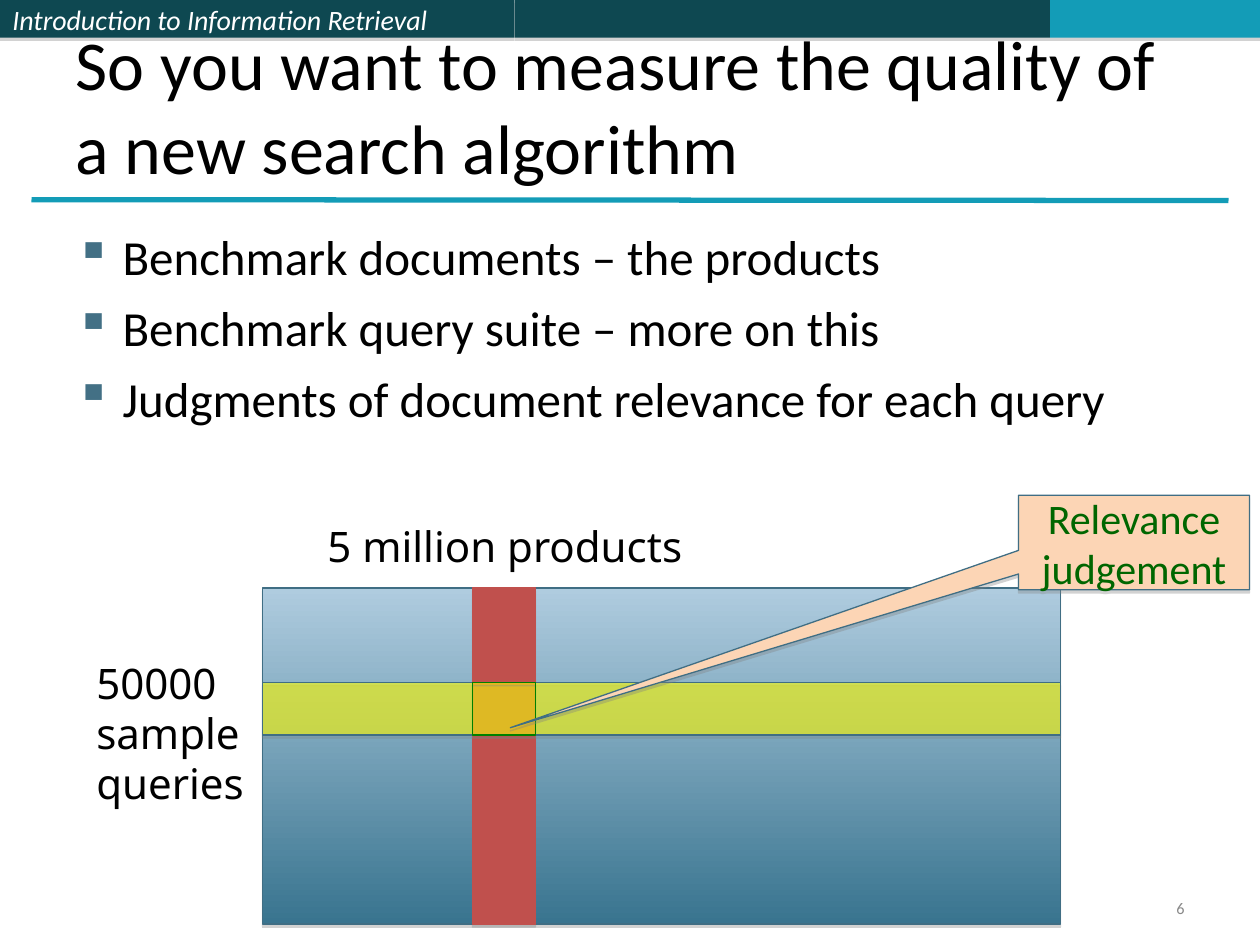
import pptx
import pptx.util
from lxml import etree
from pptx.dml.color import RGBColor
from pptx.enum.shapes import MSO_CONNECTOR, MSO_SHAPE
from pptx.enum.text import MSO_ANCHOR, MSO_AUTO_SIZE, PP_ALIGN
from pptx.oxml import parse_xml
from pptx.oxml.ns import nsdecls, qn

Pt = pptx.util.Pt
COLORS = {
    "dark teal": "0E4851", "teal": "139CB7", "white": "FFFFFF", "black": "000000",
    "bullet": "437085", "grey": "898989", "shadow": "808080", "outline": "406E84",
    "light blue": "AFCCDF", "deep blue": "39748F", "red": "C0504D",
    "yellow": "FFFF00", "green": "008000", "peach": "FCD5B5", "dark green": "006600",
}


def color(name):
    return RGBColor.from_string(COLORS[name])


def apply_format(target, values):
    for name, value in values.items():
        setattr(target, name, value)


def write(shape, lines, size, ink, font="Calibri", italic=False, frame=None, para=None):
    """Fill a shape with one paragraph per line, all in one style."""
    text = shape.text_frame
    apply_format(text, {"word_wrap": True, "auto_size": MSO_AUTO_SIZE.NONE, **(frame or {})})
    text.text = "\n".join(lines)
    for paragraph in text.paragraphs:
        apply_format(paragraph, {"alignment": PP_ALIGN.LEFT, **(para or {})})
        for span in paragraph.runs:
            apply_format(span.font, {"name": font, "size": Pt(size), "italic": italic})
            span.font.color.rgb = color(ink)


def add_text(slide, box, lines, size, ink, **style):
    shape = slide.shapes.add_textbox(*map(Pt, box))
    write(shape, lines, size, ink, **style)
    return shape


def add_block(slide, box, fill=None, line=None, kind=MSO_SHAPE.RECTANGLE):
    """Add a shape with a hard drop shadow; a missing fill or line is left empty."""
    shape = slide.shapes.add_shape(kind, *map(Pt, box))
    if fill:
        shape.fill.solid()
        shape.fill.fore_color.rgb = color(fill)
    else:
        shape.fill.background()
    if line:
        shape.line.color.rgb = color(line)
        shape.line.width = Pt(0.75)
    else:
        shape.line.fill.background()
    shape.shadow.inherit = False
    effects = shape.element.spPr.find(qn("a:effectLst"))
    effects.append(parse_xml(
        f'<a:outerShdw {nsdecls("a")} blurRad="0" dist="{Pt(1.8)}" dir="5400000" rotWithShape="0">'
        f'<a:srgbClr val="{COLORS["shadow"]}"><a:alpha val="35000"/></a:srgbClr></a:outerShdw>'))
    return shape


def add_header(slide, box, course):
    left, top, width, height = box
    bands = [(294, "dark teal"), (306, "dark teal"), (width - 600, "teal")]
    blocks = []
    for band_width, fill in bands:
        blocks.append(add_block(slide, (left, top, band_width, height), fill))
        left += band_width
    write(blocks[0], [course], 16, "white", italic=True,
          frame={"vertical_anchor": MSO_ANCHOR.MIDDLE})


def add_title(slide, box, title):
    left, top, width, height = box
    shape = slide.shapes.title
    apply_format(shape, {"left": Pt(left), "top": Pt(top), "width": Pt(width), "height": Pt(height)})
    write(shape, [title], 40, "black", frame={"vertical_anchor": MSO_ANCHOR.BOTTOM})
    rule_y = top + height + 2.5
    rule = slide.shapes.add_connector(
        MSO_CONNECTOR.STRAIGHT, Pt(left - 18), Pt(rule_y), Pt(left + width), Pt(rule_y + 0.5))
    rule.end_x = Pt(left + width + 18)
    rule.line.color.rgb = color("teal")
    rule.line.width = Pt(3)
    etree.SubElement(rule.element.spPr, qn("a:effectLst"))


def add_bullets(slide, box, lines):
    shape = add_text(slide, box, lines, 28, "black", para={"space_before": Pt(7)})
    for paragraph in shape.text_frame.paragraphs:
        properties = paragraph._p.get_or_add_pPr()
        properties.set("marL", str(Pt(27)))
        properties.set("indent", str(Pt(-27)))
        bullet_color = etree.SubElement(properties, qn("a:buClr"))
        etree.SubElement(bullet_color, qn("a:srgbClr"), val=COLORS["bullet"])
        etree.SubElement(properties, qn("a:buChar"), char="▪")


def add_matrix(slide, box):
    """Draw the query by product matrix with one column, one row and their cell marked."""
    left, top, width, height = box
    column_left, column_width = left + 120, 36
    row_top, row_height = top + 54, 30

    matrix = add_block(slide, box, "light blue", "outline")
    matrix.fill.gradient()
    matrix.fill.gradient_angle = 270
    for stop, name in zip(matrix.fill.gradient_stops, ("light blue", "deep blue")):
        stop.color.rgb = color(name)

    add_block(slide, (column_left, top, column_width, height), "red", "red")
    row = add_block(slide, (left, row_top, width, row_height), "yellow", "outline")
    row_color = row.element.spPr.find(qn("a:solidFill")).find(qn("a:srgbClr"))
    etree.SubElement(row_color, qn("a:alpha"), val="58000")
    add_block(slide, (column_left, row_top, column_width, row_height), line="green")

    labels = [((left + 30, top - 42, 217.5, 36), ["5 million products"]),
              ((left - 102, top + 36, 102, 93.5), ["50000", "sample", "queries"])]
    for label_box, lines in labels:
        add_text(slide, label_box, lines, 24, "black", font="Noto Sans",
                 frame={"word_wrap": False})


def add_callout(slide, box, lines):
    callout = add_block(slide, box, "peach", "outline", MSO_SHAPE.RECTANGULAR_CALLOUT)
    callout.adjustments[0], callout.adjustments[1] = -2.7, 1.96
    write(callout, lines, 24, "dark green", frame={"vertical_anchor": MSO_ANCHOR.MIDDLE},
          para={"alignment": PP_ALIGN.CENTER})


def main():
    deck = pptx.Presentation()
    deck.slide_width, deck.slide_height = Pt(720), Pt(540)
    slide = deck.slides.add_slide(deck.slide_layouts[5])

    add_header(slide, (0, 0, 720, 21.6), "Introduction to Information Retrieval")
    add_title(slide, (36, 21.6, 648, 90),
              "So you want to measure the quality of a new search algorithm")
    add_bullets(slide, (36, 126, 648, 390), [
        "Benchmark documents – the products",
        "Benchmark query suite – more on this",
        "Judgments of document relevance for each query",
    ])
    add_text(slide, (516, 510, 168, 19.4), ["6"], 9.3, "grey",
             frame={"vertical_anchor": MSO_ANCHOR.MIDDLE},
             para={"alignment": PP_ALIGN.RIGHT, "line_spacing": 0.8})
    add_matrix(slide, (150, 336, 456, 192))
    add_callout(slide, (582, 283, 132, 54), ["Relevance", "judgement"])

    deck.save("out.pptx")


if __name__ == "__main__":
    main()
